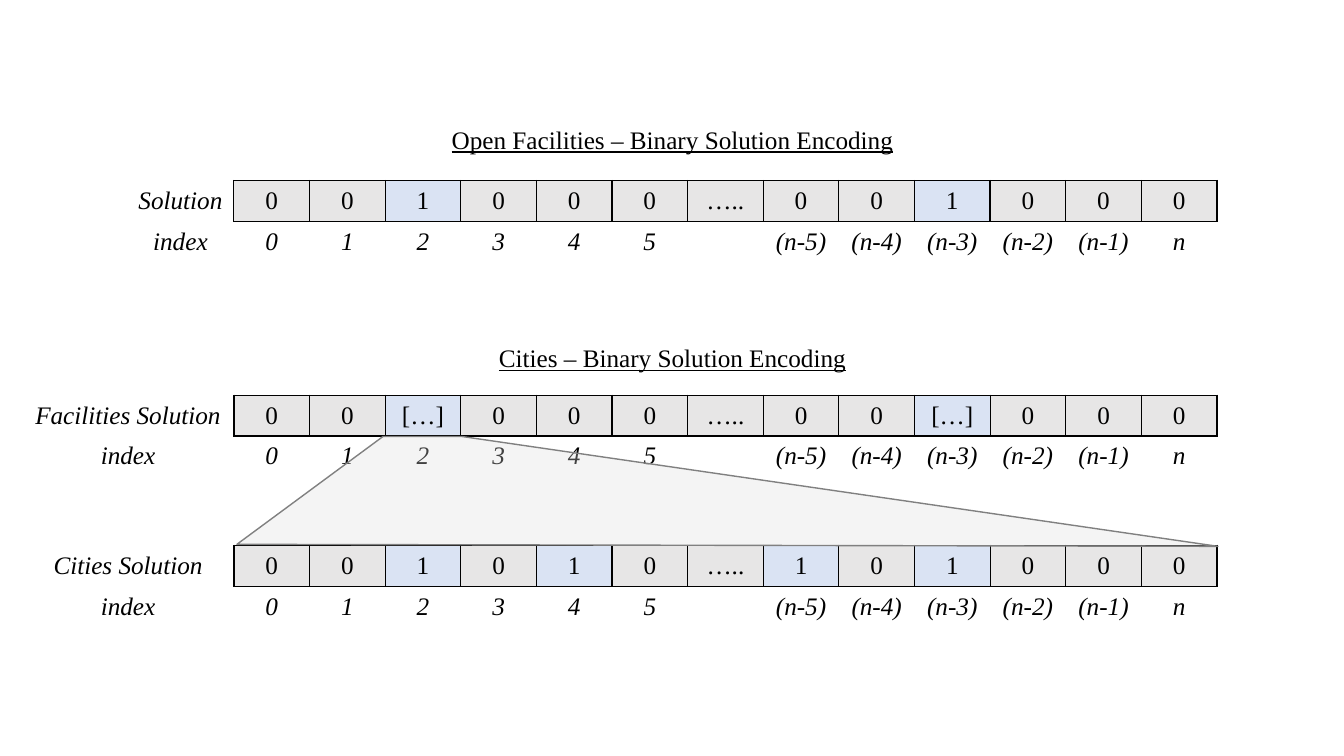
"""Build the slide on binary solution encoding for facilities and cities."""
from dataclasses import dataclass

from lxml.etree import SubElement
from pptx import Presentation
from pptx.dml.color import RGBColor as Color
from pptx.enum.text import MSO_ANCHOR as Anchor, PP_ALIGN as Align
from pptx.oxml.ns import qn
from pptx.util import Inches, Pt


@dataclass(frozen=True)
class Theme:
    font: str = "Times New Roman"
    size: int = 18
    line_width: int = 1
    ink: str = "000000"
    closed: str = "E7E6E6"
    opened: str = "DAE3F3"
    zoom_fill: str = "DDDDDD"
    zoom_line: str = "808080"
    zoom_alpha: int = 30000


theme = Theme()


def add_text(frame, text, italic=False, underline=False):
    paragraph = frame.paragraphs[0]
    paragraph.alignment = Align.CENTER
    run = paragraph.add_run()
    run.text = text
    run.font.name = theme.font
    run.font.size = Pt(theme.size)
    run.font.color.rgb = Color.from_string(theme.ink)
    run.font.italic = italic
    run.font.underline = underline


def set_borders(cell, visible):
    properties = cell._tc.get_or_add_tcPr()
    for side in "LRTB":
        line = SubElement(properties, qn(f"a:ln{side}"), w=str(Pt(theme.line_width)))
        if side in visible:
            fill = SubElement(line, qn("a:solidFill"))
            SubElement(fill, qn("a:srgbClr"), val=theme.ink)
        else:
            SubElement(line, qn("a:noFill"))


presentation = Presentation()
presentation.slide_width = Inches(13.33)
presentation.slide_height = Inches(7.5)
slide = presentation.slides.add_slide(presentation.slide_layouts[6])

grid_left, cell_width, row_height = 2.32, 0.756, 0.405
cell_width = 0.75
indices = ["0", "1", "2", "3", "4", "5", "", "(n-5)", "(n-4)", "(n-3)", "(n-2)", "(n-1)", "n"]
grid_right = grid_left + cell_width * len(indices)
gap_index = indices.index("")
facilities_top, cities_top = 3.92, 5.41

encodings = [
    ("Solution", 1.79, 1.06, "1", ["2", "(n-3)"]),
    ("Facilities Solution", facilities_top, 2.1, "[…]", ["2", "(n-3)"]),
    ("Cities Solution", cities_top, 2.1, "1", ["2", "4", "(n-5)", "(n-3)"]),
]
for label, top, label_width, mark, marked in encodings:
    table = slide.shapes.add_table(
        2, len(indices) + 1, Inches(grid_left - label_width), Inches(top),
        Inches(grid_right - grid_left + label_width), Inches(2 * row_height)).table
    table.first_row = table.horz_banding = False
    for number, column in enumerate(table.columns):
        column.width = Inches(cell_width if number else label_width)
    values = [mark if index in marked else "0" for index in indices]
    values[gap_index] = "….."
    for row, texts in enumerate([[label, *values], ["index", *indices]]):
        for column, text in enumerate(texts):
            cell = table.cell(row, column)
            cell.vertical_anchor = Anchor.MIDDLE
            is_value = row == 0 and column > 0
            if text:
                add_text(cell.text_frame, text, italic=not is_value)
            if is_value:
                set_borders(cell, "LRTB")
                cell.fill.solid()
                shade = theme.opened if text == mark else theme.closed
                cell.fill.fore_color.rgb = Color.from_string(shade)
            else:
                set_borders(cell, "R" if row == 0 else "T" if column else "")
                cell.fill.background()

for title, top in [("Open Facilities – Binary Solution Encoding", 1.18),
                   ("Cities – Binary Solution Encoding", 3.35)]:
    heading = slide.shapes.add_textbox(Inches(4.36), Inches(top), Inches(4.62), Inches(0.4))
    heading.text_frame.word_wrap = True
    add_text(heading.text_frame, title, underline=True)

zoom_corners = [(12.08, 5.42), (2.35, 5.4), (3.8, 4.33), (4.58, 4.33)]
points = [(Inches(x), Inches(y)) for x, y in zoom_corners]
builder = slide.shapes.build_freeform(*points[0])
builder.add_line_segments(points[1:], close=True)
zoom = builder.convert_to_shape()
zoom.shadow.inherit = False
zoom.fill.solid()
zoom.fill.fore_color.rgb = Color.from_string(theme.zoom_fill)
zoom_color = zoom.fill._xPr.find(qn("a:solidFill")).find(qn("a:srgbClr"))
SubElement(zoom_color, qn("a:alpha"), val=str(theme.zoom_alpha))
zoom.line.color.rgb = Color.from_string(theme.zoom_line)
zoom.line.width = Pt(theme.line_width)

presentation.save("out.pptx")
